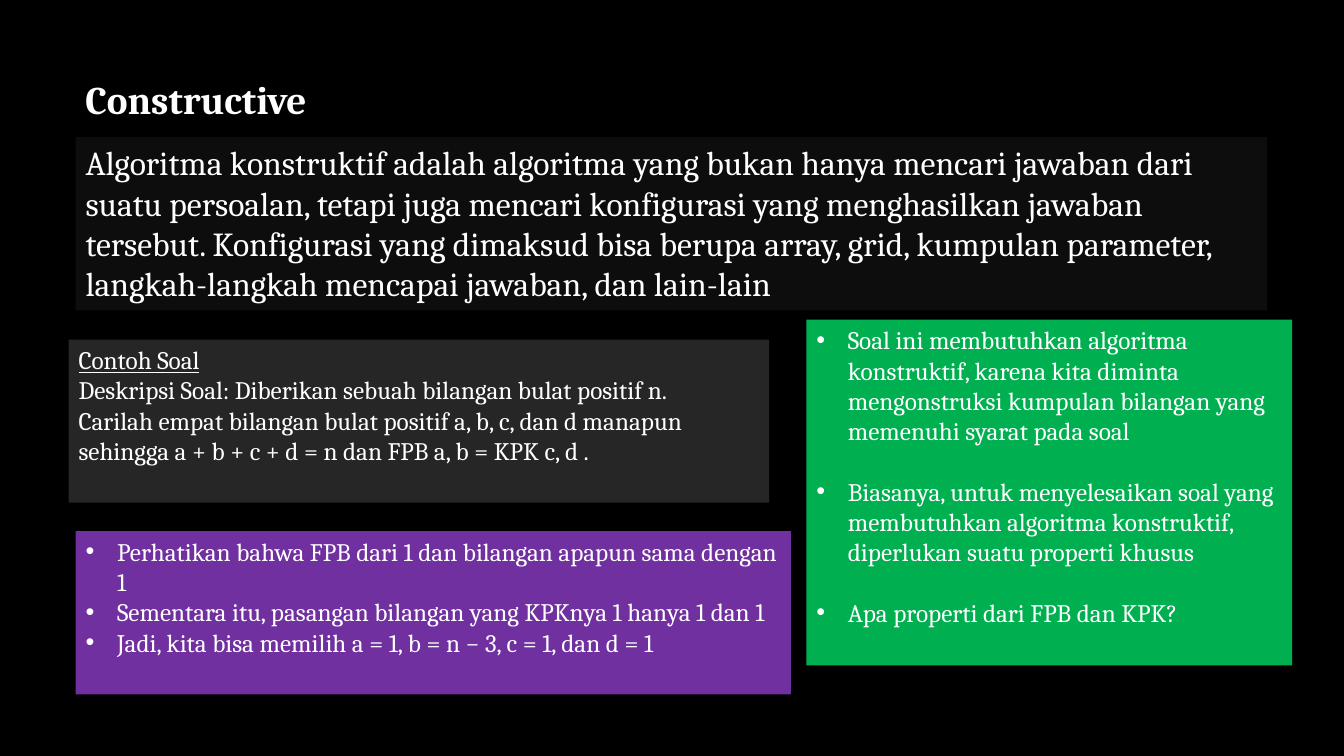
from lxml import etree
from pptx import Presentation
from pptx.dml.color import RGBColor
from pptx.enum import shapes, text
from pptx.oxml import ns
from pptx.util import Pt

BLACK = RGBColor(0x00, 0x00, 0x00)
WHITE = RGBColor(0xFF, 0xFF, 0xFF)
CHARCOAL = RGBColor(0x0D, 0x0D, 0x0D)
GRAY = RGBColor(0x26, 0x26, 0x26)
GREEN = RGBColor(0x00, 0xB0, 0x50)
PURPLE = RGBColor(0x70, 0x30, 0xA0)
FONT = "Cambria"
INDENT = Pt(22.5)
BLANK_LINE = 21.6


def write(box, lines, size, bulleted=False, gap=0):
    """Fill a box with top-left white paragraphs, gap points apart."""
    frame = box.text_frame
    frame.vertical_anchor = text.MSO_ANCHOR.TOP
    frame.text = "\n".join(lines)
    for para in frame.paragraphs:
        para.alignment = text.PP_ALIGN.LEFT
        para.space_after = Pt(gap)
        para.font.name = FONT
        para.font.size = Pt(size)
        para.font.color.rgb = WHITE
        if bulleted:
            props = para._p.get_or_add_pPr()
            props.set("marL", str(INDENT))
            props.set("indent", str(-INDENT))
            bullet_font = etree.Element(ns.qn("a:buFont"), typeface="Arial")
            bullet = etree.Element(ns.qn("a:buChar"), char="•")
            defaults = props.find(ns.qn("a:defRPr"))
            defaults.addprevious(bullet_font)
            defaults.addprevious(bullet)
    return frame


def add_panel(place, color):
    panel = page.shapes.add_shape(shapes.MSO_SHAPE.RECTANGLE, *map(Pt, place))
    panel.shadow.inherit = False
    panel.fill.solid()
    panel.fill.fore_color.rgb = color
    panel.line.fill.background()
    panel.text_frame.word_wrap = True
    return panel


deck = Presentation()
deck.slide_width, deck.slide_height = Pt(960), Pt(540)
page = deck.slides.add_slide(deck.slide_layouts[6])
page.background.fill.solid()
page.background.fill.fore_color.rgb = BLACK

title = page.shapes.add_textbox(Pt(54), Pt(50.4), Pt(196.5), Pt(41))
title_frame = write(title, ["Constructive"], 28)
title_frame.word_wrap = False
title_frame.paragraphs[0].font.bold = True

definition = add_panel((54, 98, 851, 123.8), CHARCOAL)
write(definition, [
    "Algoritma konstruktif adalah algoritma yang bukan hanya mencari jawaban "
    "dari suatu persoalan, tetapi juga mencari konfigurasi yang menghasilkan "
    "jawaban tersebut. Konfigurasi yang dimaksud bisa berupa array, grid, "
    "kumpulan parameter, langkah-langkah mencapai jawaban, dan lain-lain",
], 24)

problem = add_panel((49, 242.5, 500.4, 116.6), GRAY)
problem_frame = write(problem, [
    "Contoh Soal",
    "Deskripsi Soal: Diberikan sebuah bilangan bulat positif n.",
    "Carilah empat bilangan bulat positif a, b, c, dan d manapun",
    "sehingga a + b + c + d = n dan FPB a, b = KPK c, d .",
], 18)
problem_frame.paragraphs[0].font.underline = True

analysis = add_panel((576, 228.4, 347, 247), GREEN)
write(analysis, [
    "Soal ini membutuhkan algoritma konstruktif, karena kita diminta "
    "mengonstruksi kumpulan bilangan yang memenuhi syarat pada soal",
    "Biasanya, untuk menyelesaikan soal yang membutuhkan algoritma "
    "konstruktif, diperlukan suatu properti khusus",
    "Apa properti dari FPB dan KPK?",
], 18, bulleted=True, gap=BLANK_LINE)

solution = add_panel((54, 379.4, 511, 116.6), PURPLE)
write(solution, [
    "Perhatikan bahwa FPB dari 1 dan bilangan apapun sama dengan 1",
    "Sementara itu, pasangan bilangan yang KPKnya 1 hanya 1 dan 1",
    "Jadi, kita bisa memilih a = 1, b = n − 3, c = 1, dan d = 1",
], 18, bulleted=True)

deck.save("out.pptx")
